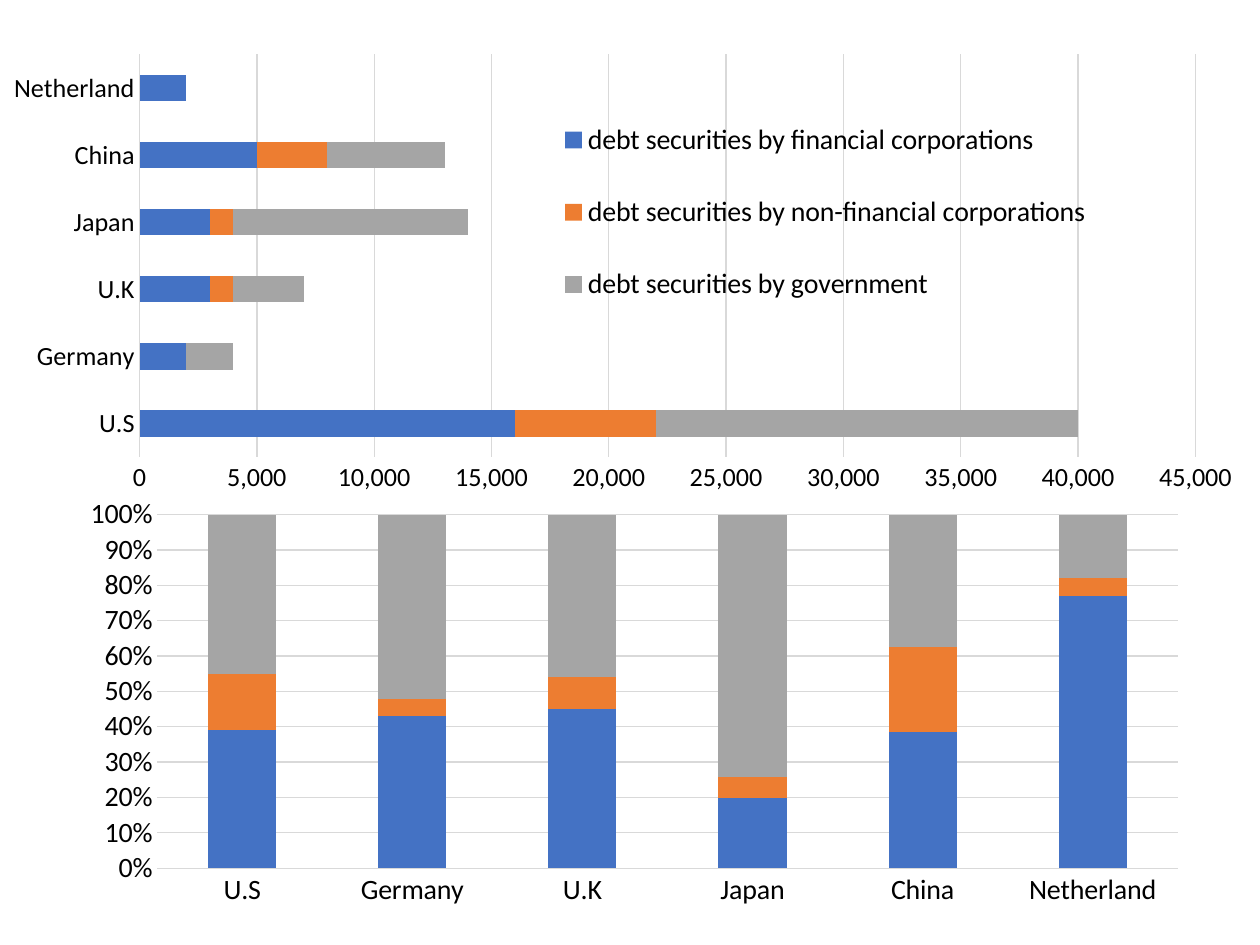
"""Debt securities by country: shares as columns, amounts as bars."""
from lxml import etree
from pptx import Presentation
from pptx.chart.data import CategoryChartData
from pptx.dml.color import RGBColor
from pptx.enum.chart import XL_CHART_TYPE, XL_LEGEND_POSITION, XL_TICK_MARK
from pptx.oxml.ns import qn
from pptx.util import Pt

SHARE_COLUMNS = XL_CHART_TYPE.COLUMN_STACKED_100
AMOUNT_BARS = XL_CHART_TYPE.BAR_STACKED
LEGEND_BOTTOM = XL_LEGEND_POSITION.BOTTOM
NO_TICK = XL_TICK_MARK.NONE

COLORS = {"text": "000000", "grid": "D9D9D9", "financial": "4472C4",
          "non_financial": "ED7D31", "government": "A5A5A5"}
ISSUERS = ("financial", "non_financial", "government")
COUNTRIES = ("U.S", "Germany", "U.K", "Japan", "China", "Netherland")
SHARES = (
    ("Series 1", (39, 43, 45, 20, 38, 77)),
    ("Series 2", (16, 5, 9, 6, 24, 5)),
    ("Series 3", (45, 52, 46, 75, 37, 18)),
)
AMOUNTS = (
    ("debt securities by financial corporations",
     (16000, 2000, 3000, 3000, 5000, 2000)),
    ("debt securities by non-financial corporations",
     (6000, 0, 1000, 1000, 3000, 0)),
    ("debt securities by government",
     (18000, 2000, 3000, 10000, 5000, 0)),
)


def rgb(name):
    return RGBColor.from_string(COLORS[name])


def format_text(font, size, color="text", name="Calibri", bold=False):
    font.size, font.name, font.bold = Pt(size), name, bold
    font.color.rgb = rgb(color)


def place(parent, index, box, inner=False):
    for old in parent.findall(qn("c:layout")):
        parent.remove(old)
    layout = etree.Element(qn("c:layout"))
    manual = etree.SubElement(layout, qn("c:manualLayout"))
    settings = [("layoutTarget", "inner")] if inner else []
    settings += [("xMode", "edge"), ("yMode", "edge"), *zip("xywh", box)]
    for tag, value in settings:
        etree.SubElement(manual, qn(f"c:{tag}"), val=str(value))
    parent.insert(index, layout)


def add_debt_chart(slide, kind, series, box, plot_box, size, top, step, number_format):
    data = CategoryChartData(number_format="#,##0")
    data.categories = COUNTRIES
    for name, values in series:
        data.add_series(name, values)
    chart = slide.shapes.add_chart(kind, *map(Pt, box), data).chart
    format_text(chart.font, 10)
    chart.has_title = False
    chart.has_legend = False
    plot = chart.plots[0]
    plot.gap_width, plot.overlap, plot.vary_by_categories = 150, 100, False
    for issuer, bars in zip(ISSUERS, plot.series):
        bars.format.fill.solid()
        bars.format.fill.fore_color.rgb = rgb(issuer)
    countries, scale = chart.category_axis, chart.value_axis
    for axis in (countries, scale):
        axis.major_tick_mark = axis.minor_tick_mark = NO_TICK
        format_text(axis.tick_labels.font, size)
    scale.minimum_scale, scale.maximum_scale, scale.major_unit = 0, top, step
    scale.tick_labels.number_format = number_format
    scale.tick_labels.number_format_is_linked = False
    scale.format.line.fill.background()
    scale.has_major_gridlines = True
    for line in (countries.format.line, scale.major_gridlines.format.line):
        line.width = Pt(0.75)
        line.color.rgb = rgb("grid")
    place(chart.element.find(".//" + qn("c:plotArea")), 0, plot_box, inner=True)
    return chart


prs = Presentation()
prs.slide_width, prs.slide_height = Pt(720), Pt(540)
slide = prs.slides.add_slide(prs.slide_layouts[6])

add_debt_chart(slide, SHARE_COLUMNS, SHARES, (38, 279.5, 648, 243.5),
               (0.08, 0.06, 0.9, 0.83), 16, 1, 0.1, "0%")
amounts = add_debt_chart(slide, AMOUNT_BARS, AMOUNTS, (8, 19.5, 696, 291),
                         (0.1, 0.04, 0.87, 0.79), 15, 45000, 5000, "#,##0")
amounts.has_legend = True
legend = amounts.legend
legend.position, legend.include_in_layout = LEGEND_BOTTOM, True
format_text(legend.font, 16)
place(amounts.element.find(".//" + qn("c:legend")), 1, (0.44, 0.1, 0.45, 0.5))

prs.save("out.pptx")
